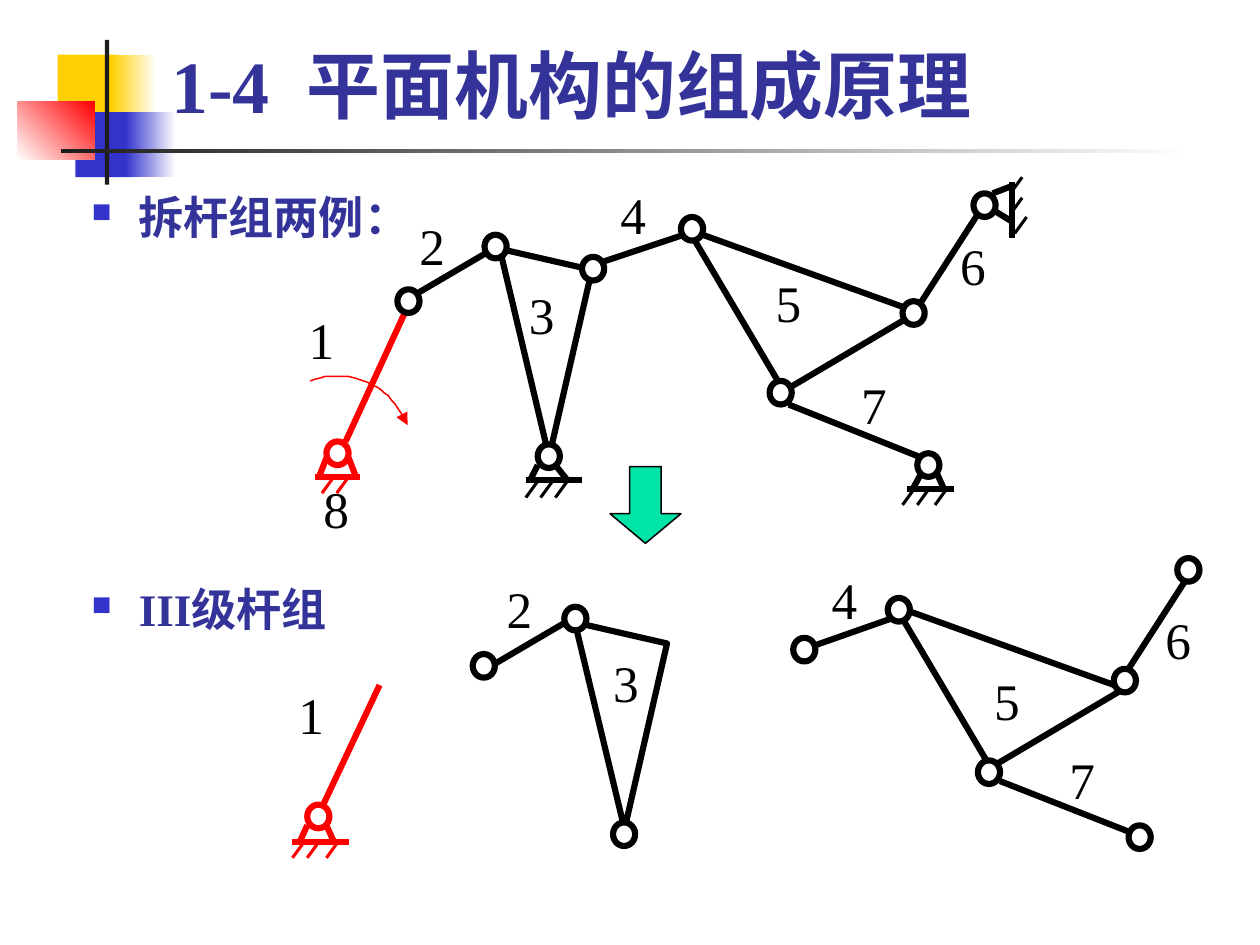
from lxml import etree
from pptx import Presentation
from pptx.dml.color import RGBColor
from pptx.enum.shapes import MSO_CONNECTOR, MSO_SHAPE
from pptx.enum.text import MSO_ANCHOR
from pptx.oxml import parse_xml
from pptx.oxml.ns import nsdecls, qn
from pptx.util import Pt

PX = 9144  # 100 px to the inch
RECT, OVAL = MSO_SHAPE.RECTANGLE, MSO_SHAPE.OVAL
WEDGE, ARROW = MSO_SHAPE.RIGHT_TRIANGLE, MSO_SHAPE.DOWN_ARROW
STRAIGHT, BOTTOM = MSO_CONNECTOR.STRAIGHT, MSO_ANCHOR.BOTTOM
BLACK = RGBColor(0x00, 0x00, 0x00)
WHITE = RGBColor(0xFF, 0xFF, 0xFF)
RED = RGBColor(0xFF, 0x00, 0x00)
GOLD = RGBColor(0xFF, 0xCF, 0x01)
BLUE = RGBColor(0x33, 0x33, 0xCC)
NAVY = RGBColor(0x33, 0x33, 0x99)
DARK = RGBColor(0x1C, 0x1C, 0x1C)
GREEN = RGBColor(0x00, 0xE4, 0xA8)

prs = Presentation()
prs.slide_width, prs.slide_height = 853 * PX, 640 * PX
slide = prs.slides.add_slide(prs.slide_layouts[6])
shapes = slide.shapes


def add_form(kind, box, fill, line=None, width=3):
    """Add a preset shape without shadow; no line colour means no outline."""
    form = shapes.add_shape(kind, *[v * PX for v in box])
    form.shadow.inherit = False
    form.fill.solid()
    form.fill.fore_color.rgb = fill
    if line is None:
        form.line.fill.background()
    else:
        form.line.color.rgb = line
        form.line.width = Pt(width)
    return form


def add_text(text, box, size, color, bold=False):
    """Add one line of text and return its frame."""
    frame = shapes.add_textbox(*[v * PX for v in box]).text_frame
    frame.word_wrap = bold
    side, edge = (9, 4) if bold else (11, 5)
    frame.margin_left = frame.margin_right = side * PX
    frame.margin_top = frame.margin_bottom = edge * PX
    para = frame.paragraphs[0]
    para.text = text
    for run in para.runs:
        run.font.name = "Times New Roman"
        run.font.size = Pt(size)
        run.font.bold = bold
        run.font.color.rgb = color
    return frame


# Corner ornament: box, first colour, last colour, angle
ornament = [
    ((39, 37, 41, 44), GOLD, GOLD, 0),
    ((75, 37, 31, 44), GOLD, WHITE, 0),
    ((51, 76, 39, 44), BLUE, BLUE, 0),
    ((85, 76, 34, 44), BLUE, WHITE, 0),
    ((12, 69, 52, 39), WHITE, RED, 45),
    ((71, 27, 3, 98), DARK, DARK, 0),
    ((41, 101, 768, 3), DARK, WHITE, 0),
]
for box, first, last, angle in ornament:
    form = add_form(RECT, box, first)
    if first != last:
        form.fill.gradient()
        form.fill.gradient_angle = angle
        for stop, color, place in zip(form.fill.gradient_stops, (first, last), (0, 1)):
            stop.color.rgb = color
            stop.position = place

# Title, with a wider gap after the number
title = add_text("1-4", (107, 22, 727, 69), 36, NAVY, True)
title.vertical_anchor = BOTTOM
para = title.paragraphs[0]
for text, gap in ((" ", 900), ("平面机构的组成原理", 0)):
    run = para.add_run()
    run.text = text
    run.font.name = "Times New Roman"
    run.font.size = Pt(36)
    run.font.bold = True
    run.font.color.rgb = NAVY
    if gap:
        run.font._element.set("spc", str(gap))

# Bulleted headings
for text, top in (("拆杆组两例：", 124), ("III级杆组", 390)):
    frame = add_text(text, (53, top, 300, 50), 22, NAVY, True)
    props = frame.paragraphs[0]._p.get_or_add_pPr()
    props.set("marL", str(32 * PX))
    props.set("indent", str(-32 * PX))
    ns = nsdecls("a")
    props.append(parse_xml(f'<a:buClr {ns}><a:srgbClr val="{BLUE}"/></a:buClr>'))
    props.append(parse_xml(f'<a:buSzPct {ns} val="60000"/>'))
    props.append(parse_xml(f'<a:buChar {ns} char="■"/>'))

# Three-joint links 3 and 5, whole and split
for box, turn in (
    ((323, 174, 64, 130), 192.9), ((491, 120, 105, 127), 329.4),
    ((374, 427, 64, 129), 192.9), ((631, 375, 105, 127), 329.4),
):
    add_form(WEDGE, box, WHITE, BLACK).rotation = turn

# Rods and supports, then hatching: x1, y1, x2, y2
rods = {
    RED: [
        (234, 299, 274, 212), (213, 323, 244, 323),
        (221, 310, 216, 323), (236, 310, 241, 323),
        (216, 551, 257, 464), (198, 570, 236, 570),
        (208, 559, 203, 570), (221, 559, 226, 570),
    ],
    BLACK: [
        (282, 199, 328, 172), (409, 177, 463, 159),
        (534, 274, 624, 310), (624, 204, 662, 145),
        (356, 325, 394, 325), (364, 315, 359, 325), (376, 315, 384, 325),
        (614, 331, 646, 331), (624, 320, 618, 331), (634, 320, 639, 331),
        (685, 123, 685, 161), (672, 131, 685, 126), (672, 142, 685, 150),
        (336, 449, 382, 422), (552, 437, 606, 418),
        (677, 529, 766, 564), (764, 453, 802, 394),
    ],
}
hatch = {
    RED: [(226, 323), (236, 323), (206, 570), (216, 570), (229, 570)],
    BLACK: [
        (364, 326), (374, 326), (384, 326), (619, 331), (629, 331), (641, 331),
        (692, 120), (692, 134), (695, 147),
    ],
}
lines = [(ends, color, 3) for color in rods for ends in rods[color]]
lines += [((x, y, x - 8, y + 11), color, 1.5) for color in hatch for x, y in hatch[color]]
for ends, color, width in lines:
    rod = shapes.add_connector(STRAIGHT, *[v * PX for v in ends])
    rod.line.color.rgb = color
    rod.line.width = Pt(width)
    etree.SubElement(rod._element.spPr, qn("a:effectLst"))

# Pin joints
joints = {
    RED: [(221, 299), (208, 545)],
    BLACK: [
        (269, 196), (328, 159), (394, 174), (364, 301), (461, 147), (521, 258),
        (611, 204), (621, 307), (659, 131),
        (320, 443), (382, 411), (415, 557),
        (537, 432), (601, 405), (754, 453), (662, 515), (764, 559), (797, 378),
    ],
}
for color, spots in joints.items():
    for x, y in spots:
        add_form(OVAL, (x, y, 15, 16), WHITE, color)

# Turning arrow of the crank, traced along a cubic curve
knots = [(210, 258), (236, 248), (266, 261), (276, 288)]
steps = 24
trace = []
for i in range(steps + 1):
    t = i / steps
    parts = ((1 - t) ** 3, 3 * t * (1 - t) ** 2, 3 * t * t * (1 - t), t ** 3)
    trace.append([sum(w * k[axis] for w, k in zip(parts, knots)) for axis in (0, 1)])
path = shapes.build_freeform(*trace[0], scale=PX)
path.add_line_segments(trace[1:], close=False)
curve = path.convert_to_shape()
curve.shadow.inherit = False
curve.fill.background()
curve.line.color.rgb = RED
curve.line.width = Pt(0.75)
etree.SubElement(curve.line._get_or_add_ln(), qn("a:tailEnd"), type="triangle")

# Arrow from the whole mechanism to its groups
down = add_form(ARROW, (413, 316, 48, 52), GREEN, BLACK, 0.75)
down.adjustments[0], down.adjustments[1] = 0.444, 0.418

# Link numbers
labels = [
    ("1", 198, 204), ("2", 273, 140), ("3", 347, 187), ("4", 409, 119),
    ("5", 514, 179), ("6", 639, 154), ("7", 572, 248), ("8", 208, 318),
    ("1", 191, 458), ("2", 332, 386), ("3", 404, 436), ("4", 552, 380),
    ("5", 662, 448), ("6", 778, 407), ("7", 713, 502),
]
for text, x, y in labels:
    add_text(text, (x, y, 38, 52), 25, BLACK)

prs.save("out.pptx")
